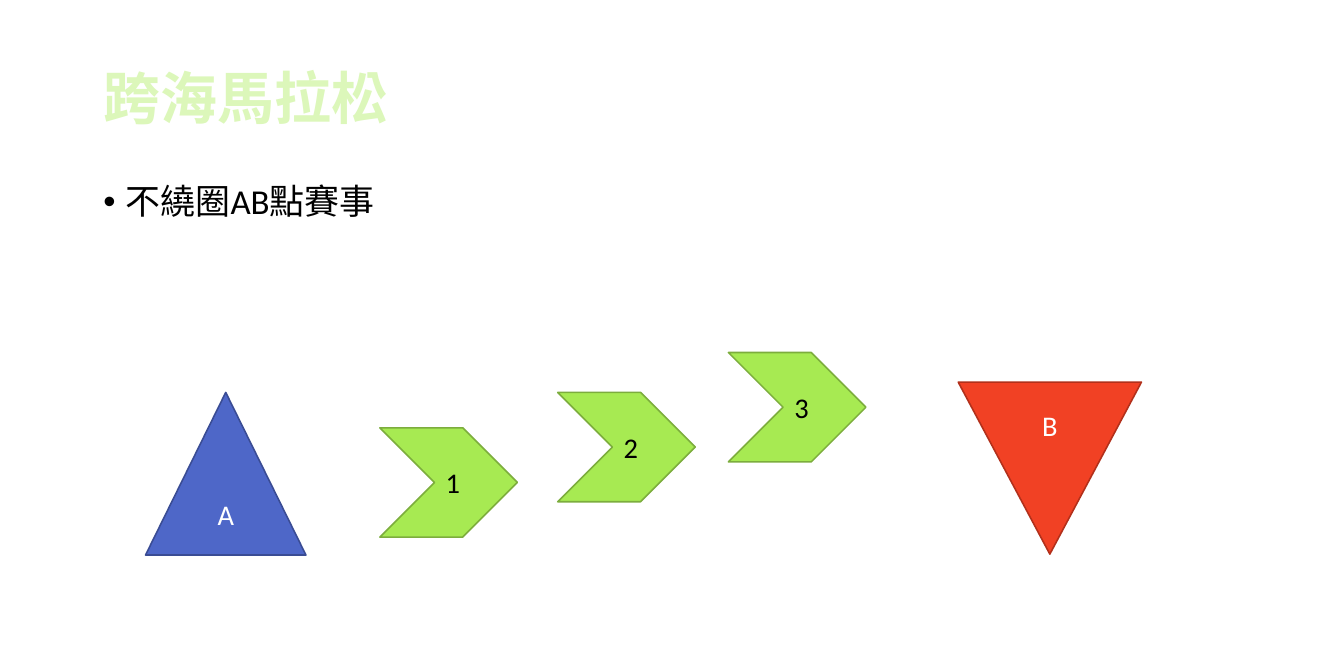
from lxml import etree
from pptx import Presentation
from pptx import util as u
from pptx.dml.color import RGBColor
from pptx.enum import lang, shapes, text
from pptx.oxml.ns import qn

TITLE = "跨海馬拉松"
BULLET = "不繞圈AB點賽事"
FONT = "Calibri"
COLORS = {
    "title": "DCF7BA", "dark": "000000", "light": "FFFFFF",
    "start": "4E67C8", "start line": "3A4C94",
    "step": "A7EA52", "step line": "7CAD3D",
    "finish": "F14124", "finish line": "B2301B",
}

# Places in centimetres: left, top, width, height
MARGIN, CONTENT_WIDTH = 2.06, 25.88
STEP_SIZE = (3.07, 2.44)
STEPS = [("1", 8.48, 9.55), ("2", 12.45, 8.76), ("3", 16.26, 7.87)]
KINDS = {
    "start": (shapes.MSO_SHAPE.FLOWCHART_EXTRACT, "light"),
    "step": (shapes.MSO_SHAPE.CHEVRON, "dark"),
    "finish": (shapes.MSO_SHAPE.FLOWCHART_MERGE, "light"),
}
ROUTE = [
    ("start", "A", (3.25, 8.76, 3.58, 3.63)),
    *[("step", label, (left, top, *STEP_SIZE)) for label, left, top in STEPS],
    ("finish", "B", (21.39, 8.53, 4.09, 3.84)),
]


def color(name):
    return RGBColor.from_string(COLORS[name])


def style(para, size, color_name, bold=False):
    for span in para.runs:
        span.font.name = FONT
        span.font.size = u.Pt(size)
        span.font.bold = bold
        span.font.color.rgb = color(color_name)
        span.font.language_id = lang.MSO_LANGUAGE_ID.TRADITIONAL_CHINESE


def add_title(page):
    box = page.shapes.title
    box.left, box.top = u.Cm(MARGIN), u.Cm(0.8)
    box.width, box.height = u.Cm(CONTENT_WIDTH), u.Cm(2.9)
    frame = box.text_frame
    frame.text = TITLE
    frame.vertical_anchor = text.MSO_ANCHOR.MIDDLE
    para = frame.paragraphs[0]
    para.alignment = text.PP_ALIGN.LEFT
    para.line_spacing = 0.9
    style(para, 36, "title", bold=True)


def add_bullet(page):
    box = page.shapes.add_textbox(
        u.Cm(MARGIN), u.Cm(3.99), u.Cm(CONTENT_WIDTH), u.Cm(9.52))
    frame = box.text_frame
    frame.word_wrap = True
    frame.text = BULLET
    para = frame.paragraphs[0]
    para.line_spacing = 0.9
    indent = u.Cm(0.5)
    properties = para._p.get_or_add_pPr()
    properties.set("marL", str(indent))
    properties.set("indent", str(-indent))
    etree.SubElement(properties, qn("a:buFont")).set("typeface", "Arial")
    etree.SubElement(properties, qn("a:buChar")).set("char", "•")
    style(para, 22.1, "dark")


def add_stop(page, kind, label, place):
    preset, text_color = KINDS[kind]
    stop = page.shapes.add_shape(preset, *map(u.Cm, place))
    stop.shadow.inherit = False
    stop.fill.solid()
    stop.fill.fore_color.rgb = color(kind)
    stop.line.color.rgb = color(kind + " line")
    stop.line.width = u.Pt(1)
    frame = stop.text_frame
    frame.text = label
    frame.vertical_anchor = text.MSO_ANCHOR.MIDDLE
    para = frame.paragraphs[0]
    para.alignment = text.PP_ALIGN.CENTER
    style(para, 18, text_color)


def main():
    deck = Presentation()
    deck.slide_width, deck.slide_height = u.Cm(30), u.Cm(15)
    page = deck.slides.add_slide(deck.slide_layouts.get_by_name("Title Only"))

    # Heading and bullet
    add_title(page)
    add_bullet(page)

    # Route from A to B
    for kind, label, place in ROUTE:
        add_stop(page, kind, label, place)

    deck.save("out.pptx")


if __name__ == "__main__":
    main()
